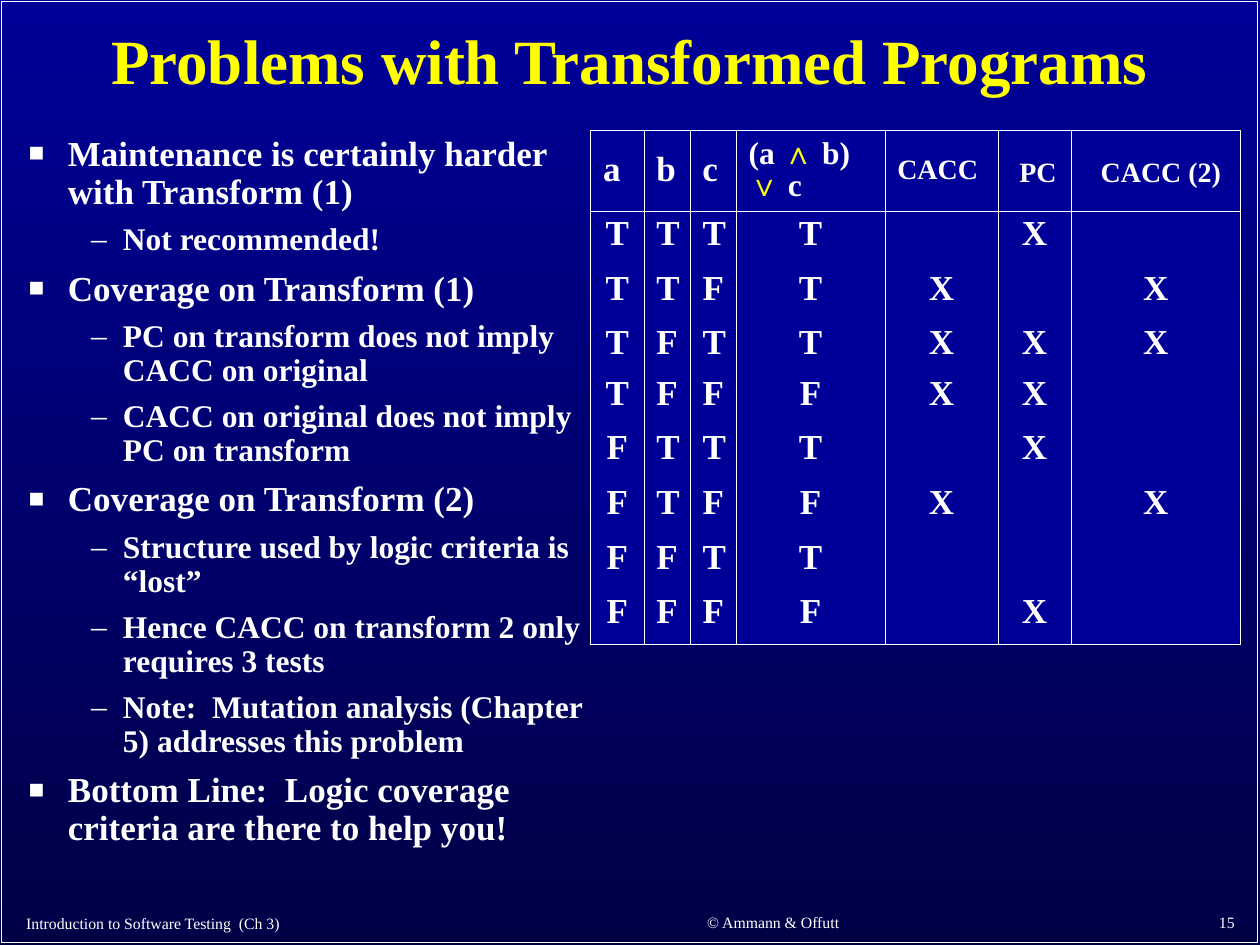
"""Build the slide on problems with transformed programs."""
from dataclasses import dataclass
from itertools import product

from lxml.etree import SubElement
from pptx import Presentation
from pptx.dml.color import RGBColor
from pptx.enum.shapes import MSO_SHAPE
from pptx.enum.text import MSO_ANCHOR, PP_ALIGN
from pptx.oxml.ns import qn
from pptx.slide import Slide
from pptx.table import _Cell as Cell
from pptx.text.text import TextFrame, _Paragraph as Para, _Run as Run
from pptx.util import Cm, Pt


@dataclass(frozen=True)
class Theme:
    white: str = "FFFFFF"
    gold: str = "FFFF00"
    blue: str = "000099"
    dark: str = "000047"
    serif: str = "Times New Roman"
    sans: str = "Arial"
    title: float = 36
    main: float = 20
    sub: float = 18
    small: float = 16
    foot: float = 9
    rule: float = 0.45
    lead: float = 0.9


@dataclass(frozen=True)
class Label:
    text: str
    left: float
    top: float
    width: float
    height: float
    size: float
    align: PP_ALIGN
    color: str = Theme.white
    bold: bool = False
    anchor: MSO_ANCHOR = MSO_ANCHOR.BOTTOM


@dataclass(frozen=True)
class Level:
    size: float
    before: float
    indent: float
    hang: float
    mark: str
    scale: int


@dataclass(frozen=True)
class Head:
    text: str
    width: float
    size: float = Theme.main
    left: float = 0.25
    top: float = 0.13


THEME = Theme()
LABELS = (
    Label("Problems with Transformed Programs", 0.28, 0.2, 24.82, 2.18, THEME.title,
          PP_ALIGN.CENTER, THEME.gold, True, MSO_ANCHOR.MIDDLE),
    Label("Introduction to Software Testing  (Ch 3)", 0.28, 18.31, 10.82, 0.61,
          THEME.foot, PP_ALIGN.LEFT),
    Label("15", 19.86, 18.29, 5.28, 0.61, THEME.foot, PP_ALIGN.RIGHT),
    Label("© Ammann & Offutt", 11.56, 18.26, 8.05, 0.64, THEME.foot, PP_ALIGN.CENTER),
)
LEVELS = (
    Level(THEME.main, 7.5, 0.79, 0.79, "■", 75),
    Level(THEME.sub, 6.8, 1.9, 0.64, "–", 100),
)
POINTS = (
    (0, "Maintenance is certainly harder with Transform (1)"),
    (1, "Not recommended!"),
    (0, "Coverage on Transform (1)"),
    (1, "PC on transform does not imply CACC on original"),
    (1, "CACC on original does not imply PC on transform"),
    (0, "Coverage on Transform (2)"),
    (1, "Structure used by logic criteria is “lost”"),
    (1, "Hence CACC on transform 2 only requires 3 tests"),
    (1, "Note:  Mutation analysis (Chapter 5) addresses this problem"),
    (0, "Bottom Line:  Logic coverage criteria are there to help you!"),
)
HEADS = (
    Head("a", 1.07), Head("b", 0.93), Head("c", 0.93),
    Head("(a ∧ b) ∨ c", 3.0, THEME.sub),
    Head("CACC", 2.28, THEME.small),
    Head("PC", 1.47, THEME.small, 0.43, 0.25),
    Head("CACC (2)", 3.42, THEME.small, 0.6, 0.25),
)
TESTS = ("", "X", ""), ("X", "", "X"), ("X", "X", "X"), ("X", "X", ""), \
    ("", "X", ""), ("X", "", "X"), ("", "", ""), ("", "X", "")
HEIGHTS = (1.53, 1.1, 1.1, 1.02, 1.1, 1.1, 1.1, 1.1, 1.1)


def style(run: Run, size: float, color: str = THEME.white, bold: bool = True,
          face: str = THEME.serif) -> None:
    font = run.font
    font.size, font.bold, font.name = Pt(size), bold, face
    font.color.rgb = RGBColor.from_string(color)


def add_box(slide: Slide, left: float, top: float, width: float, height: float) -> TextFrame:
    frame = slide.shapes.add_textbox(Cm(left), Cm(top), Cm(width), Cm(height)).text_frame
    frame.word_wrap = True
    return frame


def add_label(slide: Slide, label: Label) -> None:
    frame = add_box(slide, label.left, label.top, label.width, label.height)
    frame.text, frame.vertical_anchor = label.text, label.anchor
    para = frame.paragraphs[0]
    para.alignment = label.align
    if label.bold:
        para.line_spacing = THEME.lead
    style(para.runs[0], label.size, label.color, label.bold)


def add_mark(para: Para, level: Level) -> None:
    props = para._p.get_or_add_pPr()
    props.set("marL", str(Cm(level.indent)))
    props.set("indent", str(-Cm(level.hang)))
    tint = SubElement(props, qn("a:buClr"))
    SubElement(tint, qn("a:srgbClr"), val=THEME.white)
    SubElement(props, qn("a:buSzPct"), val=str(level.scale * 1000))
    SubElement(props, qn("a:buFont"), typeface=THEME.serif)
    SubElement(props, qn("a:buChar"), char=level.mark)


def add_points(slide: Slide) -> None:
    frame = add_box(slide, 0.33, 2.62, 12.17, 15.29)
    for i, (depth, text) in enumerate(POINTS):
        para = frame.add_paragraph() if i else frame.paragraphs[0]
        level = LEVELS[depth]
        para.text, para.level, para.line_spacing = text, depth, THEME.lead
        if i:
            para.space_before = Pt(level.before)
        add_mark(para, level)
        style(para.runs[0], level.size)


def set_edges(cell: Cell, sides: str) -> None:
    props = cell._tc.get_or_add_tcPr()
    for side in "LRTB":
        line = SubElement(props, qn(f"a:ln{side}"), w=str(Pt(THEME.rule)))
        if side in sides:
            fill = SubElement(line, qn("a:solidFill"))
            SubElement(fill, qn("a:srgbClr"), val=THEME.white)
        else:
            SubElement(line, qn("a:noFill"))
    cell.fill.solid()
    cell.fill.fore_color.rgb = RGBColor.from_string(THEME.blue)


def fill_head(cell: Cell, head: Head) -> None:
    cell.vertical_anchor = MSO_ANCHOR.MIDDLE
    cell.margin_left, cell.margin_top = Cm(head.left), Cm(head.top)
    para = cell.text_frame.paragraphs[0]
    para.line_spacing = THEME.lead
    for part in head.text.replace("∧", "|∧|").replace("∨", "|∨|").split("|"):
        run = para.add_run()
        run.text = part
        if part in "∧∨":
            style(run, head.size, THEME.gold, face=THEME.sans)
        else:
            style(run, head.size)


def add_grid(slide: Slide) -> None:
    shape = slide.shapes.add_table(len(HEIGHTS), len(HEADS), Cm(11.91), Cm(2.63),
                                   Cm(sum(h.width for h in HEADS)), Cm(sum(HEIGHTS)))
    table = shape.table
    table.first_row = table.horz_banding = False
    for row, height in zip(table.rows, HEIGHTS):
        row.height = Cm(height)
    for i, head in enumerate(HEADS):
        table.columns[i].width = Cm(head.width)
        set_edges(table.cell(0, i), "LRTB")
        fill_head(table.cell(0, i), head)
    facts = product((True, False), repeat=3)
    for i, ((a, b, c), marks) in enumerate(zip(facts, TESTS), 1):
        truths = ["T" if fact else "F" for fact in (a, b, c, (a and b) or c)]
        sides = "LR" + "T" * (i == 1) + "B" * (i == len(TESTS))
        for j, text in enumerate((*truths, *marks)):
            cell = table.cell(i, j)
            set_edges(cell, sides)
            para = cell.text_frame.paragraphs[0]
            para.text, para.alignment, para.line_spacing = text, PP_ALIGN.CENTER, THEME.lead
            for run in para.runs:
                style(run, THEME.main)


def add_back(slide: Slide) -> None:
    fill = slide.background.fill
    fill.gradient()
    fill.gradient_angle = 270
    for stop, color in zip(fill.gradient_stops, (THEME.blue, THEME.dark)):
        stop.color.rgb = RGBColor.from_string(color)
    edge = slide.shapes.add_shape(MSO_SHAPE.RECTANGLE, Cm(0.03), Cm(0.03), Cm(25.32), Cm(18.97))
    edge.shadow.inherit = False
    edge.fill.background()
    edge.line.color.rgb, edge.line.width = RGBColor.from_string(THEME.white), Pt(1)


def main() -> None:
    deck = Presentation()
    deck.slide_width, deck.slide_height = Cm(25.4), Cm(19.05)
    slide = deck.slides.add_slide(deck.slide_layouts[6])
    add_back(slide)
    add_label(slide, LABELS[0])
    add_points(slide)
    add_grid(slide)
    for label in LABELS[1:]:
        add_label(slide, label)
    deck.save("out.pptx")


if __name__ == "__main__":
    main()
